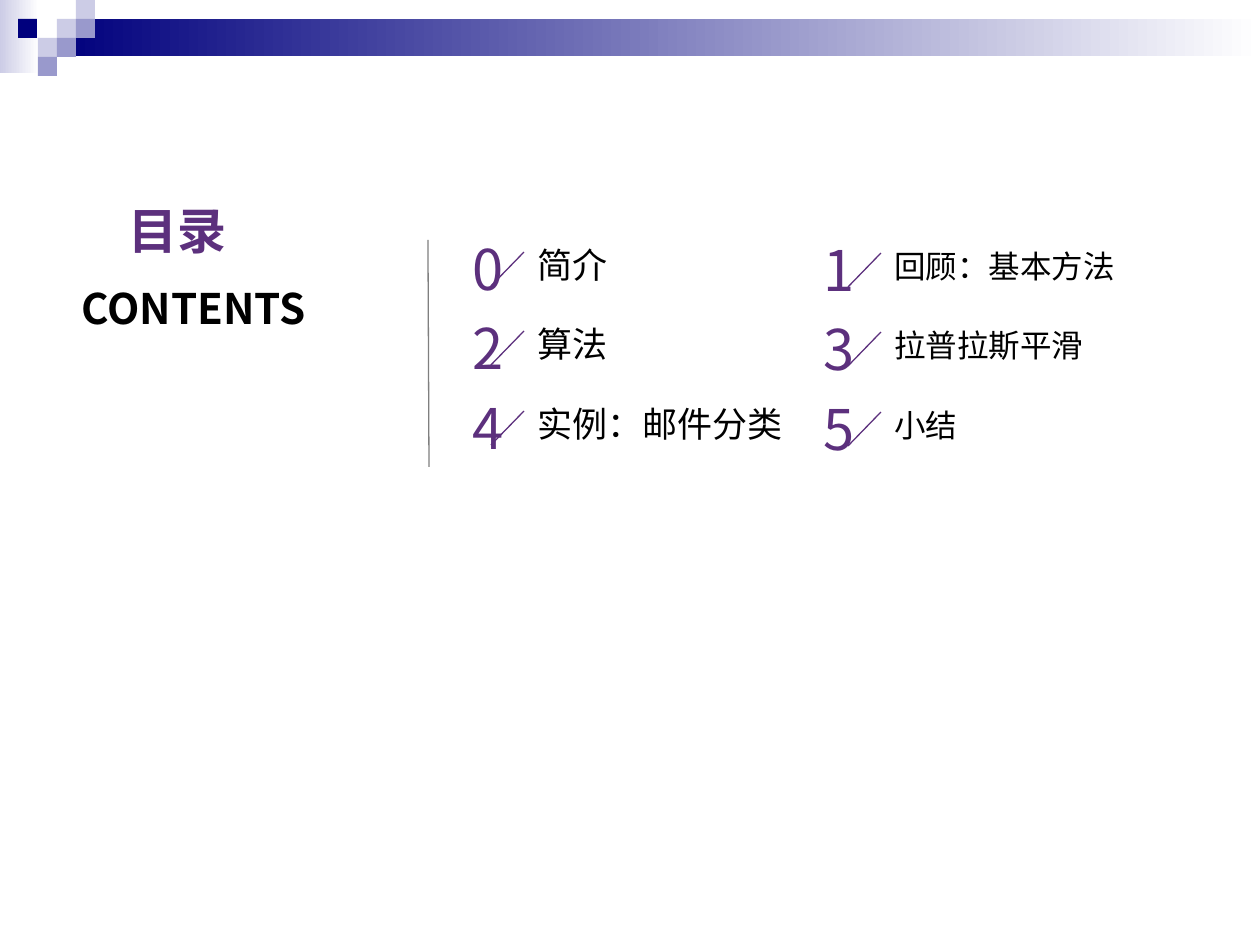
from lxml.etree import SubElement
from pptx import Presentation
from pptx.dml.color import RGBColor
from pptx.enum.shapes import MSO_CONNECTOR as CONN, MSO_SHAPE as SHAPE
from pptx.enum.text import MSO_AUTO_SIZE as AUTO, PP_ALIGN as ALIGN
from pptx.oxml.ns import qn
from pptx.util import Emu, Pt

SCALE = 914400 / 126  # EMU per px
FONT = "Noto Sans CJK SC"
NAVY = RGBColor(0x00, 0x00, 0x7D)
LILAC = RGBColor(0xCC, 0xCC, 0xE6)
PERIWINKLE = RGBColor(0x99, 0x99, 0xCC)
PURPLE = RGBColor(0x5C, 0x30, 0x7D)
GREY = RGBColor(0x7F, 0x7F, 0x7F)
BLACK = RGBColor(0x00, 0x00, 0x00)
WHITE = RGBColor(0xFF, 0xFF, 0xFF)


def px(n):
    return Emu(round(n * SCALE))


def add_rect(s, x, y, w, h, color, fade=False):
    sp = s.shapes.add_shape(SHAPE.RECTANGLE, px(x), px(y), px(w), px(h))
    sp.shadow.inherit = False
    sp.line.fill.background()
    if fade:
        sp.fill.gradient()
        sp.fill.gradient_angle = 0
        for stop, c in zip(sp.fill.gradient_stops, (color, WHITE)):
            stop.color.rgb = c
    else:
        sp.fill.solid()
        sp.fill.fore_color.rgb = color


def add_text(s, x, y, w, h, text, size, color, bold=False, align=None, wrap=False):
    tf = s.shapes.add_textbox(px(x), px(y), px(w), px(h)).text_frame
    tf.text = text
    tf.word_wrap = wrap
    tf.auto_size = AUTO.SHAPE_TO_FIT_TEXT
    p = tf.paragraphs[0]
    p.alignment = align
    r = p.runs[0]
    r.font.size, r.font.bold, r.font.name = Pt(size), bold, FONT
    r.font.color.rgb = color
    # East Asian typeface
    SubElement(r.font._element, qn("a:ea")).set("typeface", FONT)


def add_line(s, x1, y1, x2, y2, color):
    line = s.shapes.add_connector(CONN.STRAIGHT, px(x1), px(y1), px(x2), px(y2))
    line.line.color.rgb = color
    line.line.width = Pt(0.75)
    SubElement(line._element.spPr, qn("a:effectLst"))


def add_header(s, x, y, w):
    add_rect(s, x, y, 39, 73, LILAC, fade=True)
    add_rect(s, x + 57, y + 19, w - 57, 37, NAVY, fade=True)
    # Checker squares as (left, top, colour)
    squares = [(57, 19, LILAC), (76, 0, LILAC), (76, 19, PERIWINKLE),
               (38, 38, LILAC), (18, 19, NAVY), (57, 38, PERIWINKLE),
               (38, 57, PERIWINKLE)]
    for dx, dy, color in squares:
        add_rect(s, x + dx, y + dy, 19, 19, color)


def add_title(s, x, y):
    add_text(s, x, y + 82, 271, 63, "CONTENTS", 24, BLACK, bold=True, wrap=True)
    add_text(s, x + 47, y, 130, 72, "目录", 28, PURPLE, bold=True)


def add_entry(s, x, y, number, label, size, label_dx, label_dy):
    add_text(s, x, y, 57, 81, str(number), 32, PURPLE, align=ALIGN.CENTER)
    # One px is 4/7 pt; the rest is side insets and slack
    label_w = len(label) * size * 7 // 4 + 32
    label_h = 55 if size == 20 else 50
    add_text(s, x + label_dx, y + label_dy, label_w, label_h, label, size, BLACK)
    slash = x + label_dx - 1
    add_line(s, slash, y + 24, slash - 33, y + 58, PURPLE)


def add_contents(s, x, y):
    add_line(s, x, y + 12, x + 1, y + 239, GREY)
    # Column left, top, label size and label offset
    columns = [(32, 0, 20, 65, 9), (383, 1, 18, 71, 12)]
    labels = ["简介", "回顾：基本方法", "算法", "拉普拉斯平滑", "实例：邮件分类", "小结"]
    for i, label in enumerate(labels):
        row, col = divmod(i, 2)
        dx, dy, size, label_dx, label_dy = columns[col]
        row_y = y + dy + row * 159 // 2
        add_entry(s, x + dx, row_y, i, label, size, label_dx, label_dy)


def main():
    prs = Presentation()
    prs.slide_width, prs.slide_height = px(1260), px(945)
    s = prs.slides.add_slide(prs.slide_layouts[6])
    add_header(s, 0, 0, 1260)
    add_title(s, 69, 194)
    add_contents(s, 428, 228)
    prs.save("out.pptx")


if __name__ == "__main__":
    main()
